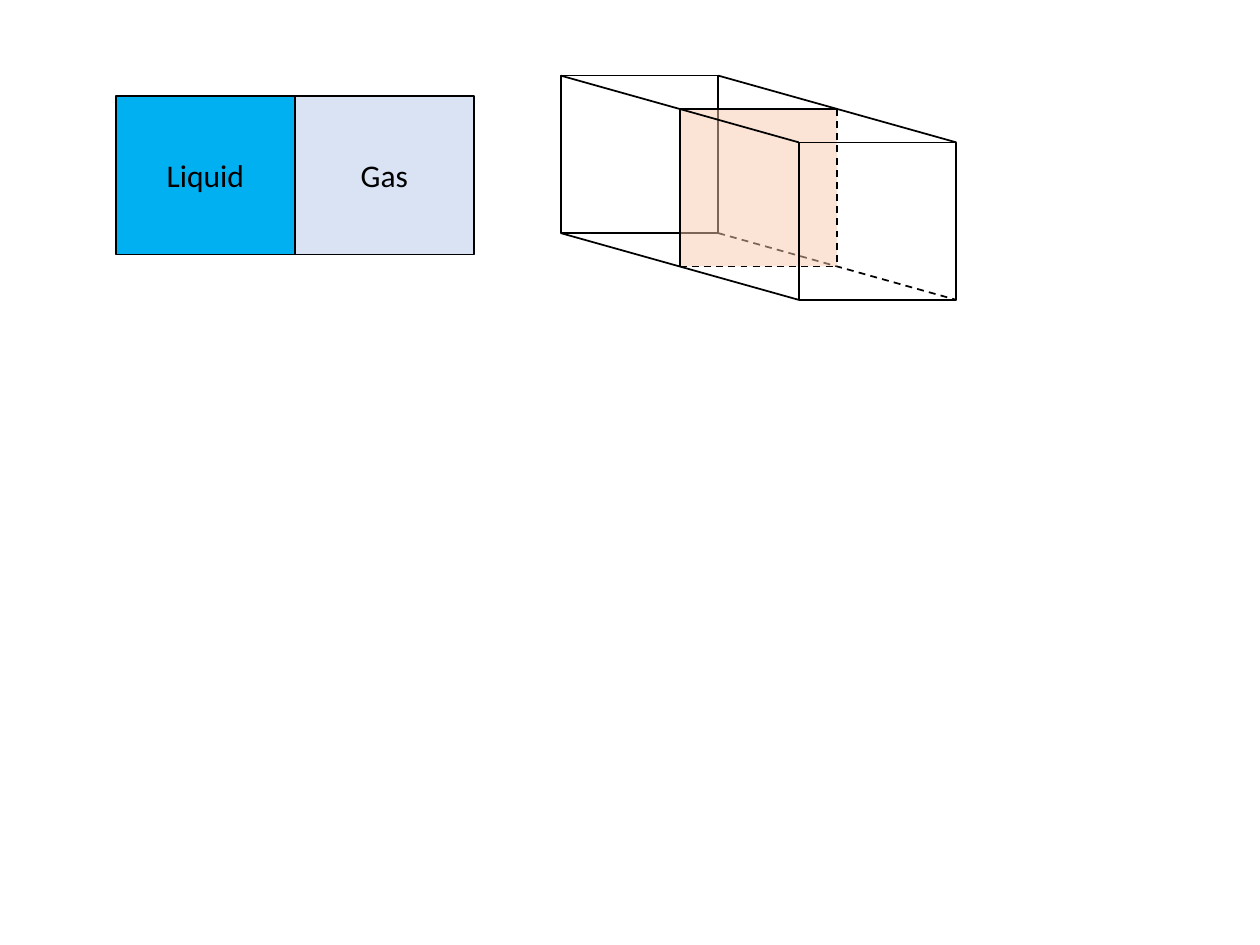
import dataclasses

import lxml.etree
import pptx
import pptx.dml.color
import pptx.enum.dml
import pptx.enum.shapes
import pptx.enum.text
import pptx.oxml.ns
import pptx.util


@dataclasses.dataclass(frozen=True)
class Theme:
    ink: str = "000000"
    liquid: str = "00B0F0"
    gas: str = "DAE3F3"
    interface: str = "F8CBAD"
    interface_opacity: int = 50
    font: str = "Calibri"
    label_size: int = 18
    line_width: int = 1


class PhaseDiagram:
    """Draws boxes and edges on the current slide in one theme."""

    def __init__(self, slide, theme):
        self.slide, self.theme = slide, theme
        self.shapes = slide.shapes

    def begin_group(self):
        self.shapes = self.slide.shapes.add_group_shape().shapes

    def end_group(self):
        self.shapes = self.slide.shapes

    def apply(self, target, values):
        for name, value in values.items():
            setattr(target, name, value)

    def outline(self, line, dashed=False):
        dash = pptx.enum.dml.MSO_LINE.DASH if dashed else pptx.enum.dml.MSO_LINE.SOLID
        line.fill.solid()
        self.apply(line, {"width": pptx.util.Pt(self.theme.line_width), "dash_style": dash})
        line.color.rgb = pptx.dml.color.RGBColor.from_string(self.theme.ink)

    def box(self, left, top, width, height, fill=None, opacity=100, outlined=True):
        bounds = map(pptx.util.Inches, (left, top, width, height))
        box = self.shapes.add_shape(pptx.enum.shapes.MSO_SHAPE.RECTANGLE, *bounds)
        box.shadow.inherit = False
        if fill:
            box.fill.solid()
            box.fill.fore_color.rgb = pptx.dml.color.RGBColor.from_string(fill)
        else:
            box.fill.background()
        if opacity < 100:
            qn = pptx.oxml.ns.qn
            color = box._element.spPr.find(qn("a:solidFill")).find(qn("a:srgbClr"))
            lxml.etree.SubElement(color, qn("a:alpha"), val=str(opacity * 1000))
        if outlined:
            self.outline(box.line)
        else:
            box.line.fill.background()
        return box

    def label(self, box, text):
        frame = box.text_frame
        self.apply(frame, {"word_wrap": True, "vertical_anchor": pptx.enum.text.MSO_ANCHOR.MIDDLE})
        paragraph = frame.paragraphs[0]
        paragraph.alignment = pptx.enum.text.PP_ALIGN.CENTER
        run = paragraph.add_run()
        run.text = text
        self.apply(run.font, {"name": self.theme.font, "size": pptx.util.Pt(self.theme.label_size)})
        run.font.color.rgb = pptx.dml.color.RGBColor.from_string(self.theme.ink)

    def edge(self, start, end, dashed=False):
        points = map(pptx.util.Inches, (*start, *end))
        edge = self.shapes.add_connector(pptx.enum.shapes.MSO_CONNECTOR.STRAIGHT, *points)
        lxml.etree.SubElement(edge._element.spPr, pptx.oxml.ns.qn("a:effectLst"))
        self.outline(edge.line, dashed)
        effects = edge._element.spPr.find(pptx.oxml.ns.qn("a:effectLst"))
        edge._element.spPr.append(effects)


def face_corners(left, top, side):
    right, bottom = left + side, top + side
    return (left, top), (right, top), (right, bottom), (left, bottom)


def draw_prism(diagram):
    side = 1.25
    back, middle, front = (
        face_corners(4.45 + 1.89 * depth, 0.6 + 0.53 * depth, side) for depth in (0, 0.5, 1)
    )
    top_left, top_right, bottom_right, bottom_left = range(4)
    diagram.begin_group()
    diagram.box(*back[top_left], side, side)
    diagram.edge(back[bottom_right], front[bottom_right], dashed=True)
    diagram.box(*middle[top_left], side, side, diagram.theme.interface,
                diagram.theme.interface_opacity, outlined=False)
    diagram.box(*front[top_left], side, side)
    for corner in (top_left, top_right, bottom_left):
        diagram.edge(back[corner], front[corner])
    for start, end, dashed in (
        (top_right, bottom_right, True),
        (bottom_left, bottom_right, True),
        (bottom_left, top_left, False),
        (top_left, top_right, False),
    ):
        diagram.edge(middle[start], middle[end], dashed)
    diagram.end_group()


def draw_phases(diagram):
    left, top, width, height = 0.92, 0.76, 1.42, 1.26
    phases = (("Liquid", diagram.theme.liquid), ("Gas", diagram.theme.gas))
    for column, (phase, fill) in enumerate(phases):
        diagram.label(diagram.box(left + column * width, top, width, height, fill), phase)


def main():
    presentation = pptx.Presentation()
    presentation.slide_width = pptx.util.Inches(10)
    presentation.slide_height = pptx.util.Inches(7.5)
    slide = presentation.slides.add_slide(presentation.slide_layouts[6])
    diagram = PhaseDiagram(slide, Theme())
    draw_prism(diagram)
    draw_phases(diagram)
    presentation.save("out.pptx")


if __name__ == "__main__":
    main()
